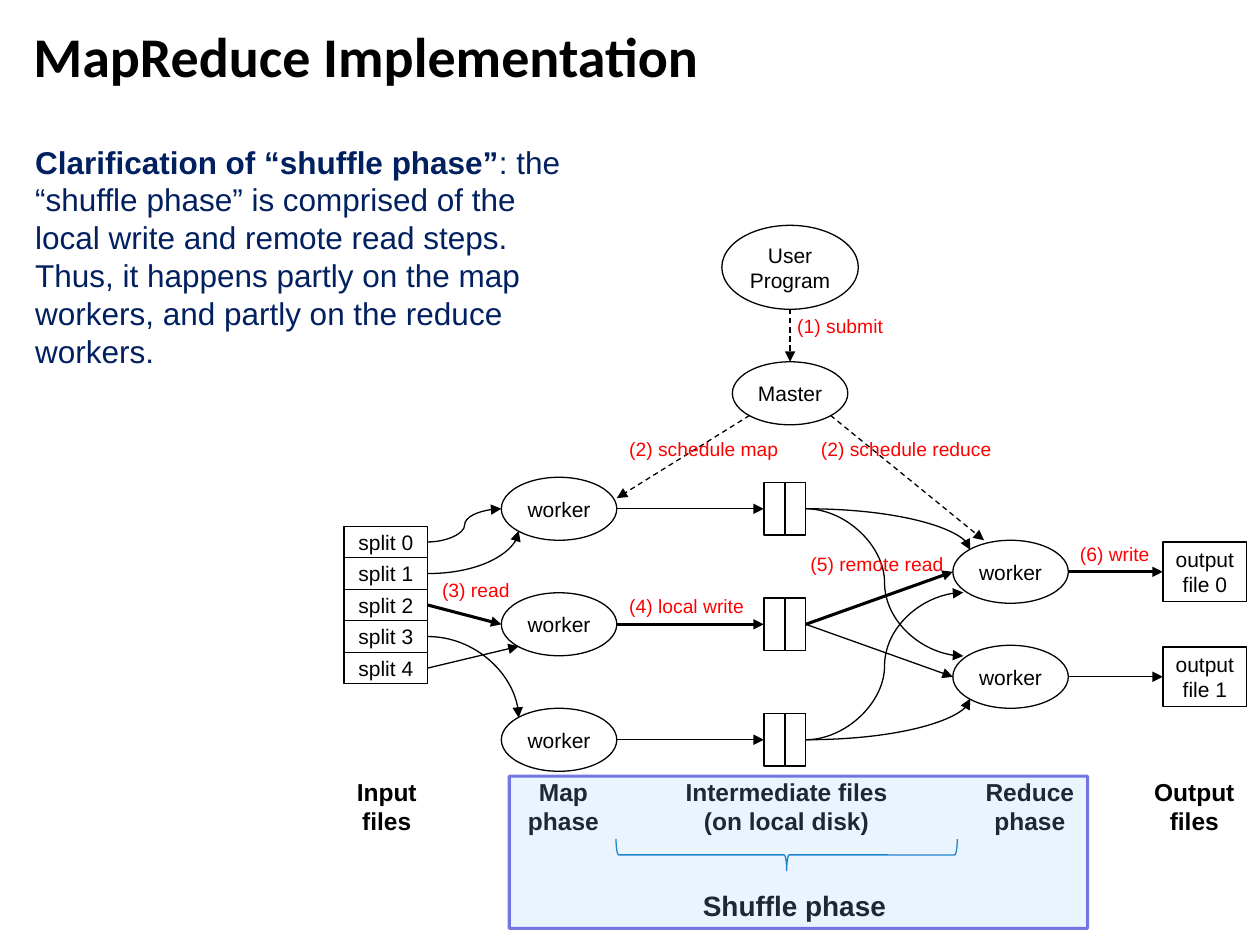
from dataclasses import dataclass

from lxml import etree
from pptx import Presentation
from pptx.dml.color import RGBColor
from pptx.enum import dml, shapes, text
from pptx.oxml import ns
from pptx.util import Pt


@dataclass(frozen=True)
class Theme:
    ink: str = "000000"
    step: str = "FF0000"
    note: str = "002060"
    brace: str = "0070C0"
    band_fill: str = "99CCFF"
    band_line: str = "0000CC"
    head_font: str = "Calibri"
    body_font: str = "Arial"
    title_size: float = 32
    note_size: float = 18
    shuffle_size: float = 16
    phase_size: float = 14
    node_size: float = 12
    step_size: float = 11
    thin: float = 0.75
    thick: float = 1.75


THEME = Theme()
RECT = shapes.MSO_SHAPE.RECTANGLE
OVAL = shapes.MSO_SHAPE.OVAL
CENTER = text.PP_ALIGN.CENTER

# Places on a shape, as fractions of its width and height
TOP, LEFT, BOTTOM, RIGHT = (0.5, 0), (0, 0.5), (0.5, 1), (1, 0.5)
SIDES = [TOP, LEFT, BOTTOM, RIGHT]
UPPER_LEFT, LOWER_LEFT, LOWER_RIGHT = (0.15, 0.15), (0.15, 0.85), (0.85, 0.85)


def add_span(para, words, size, color=THEME.ink, bold=False, font=THEME.body_font):
    span = para.add_run()
    span.text = words
    span.font.name, span.font.size, span.font.bold = font, Pt(size), bold
    span.font.color.rgb = RGBColor.from_string(color)


def add_lines(frame, lines, size, **style):
    """One centred paragraph for each line."""
    for index, line in enumerate(lines):
        para = frame.add_paragraph() if index else frame.paragraphs[0]
        para.alignment = CENTER
        add_span(para, line, size, **style)


def add_label(page, left, top, width, height, wrap=False):
    box = page.shapes.add_textbox(Pt(left), Pt(top), Pt(width), Pt(height))
    box.text_frame.word_wrap = wrap
    box.text_frame.auto_size = text.MSO_AUTO_SIZE.SHAPE_TO_FIT_TEXT
    return box.text_frame


def add_outline(page, kind, left, top, width, height, color=THEME.ink, weight=THEME.thin):
    shape = page.shapes.add_shape(kind, Pt(left), Pt(top), Pt(width), Pt(height))
    shape.shadow.inherit = False
    shape.fill.background()
    shape.line.color.rgb = RGBColor.from_string(color)
    shape.line.width = Pt(weight)
    return shape


def add_node(page, kind, left, top, width, height, lines=()):
    node = add_outline(page, kind, left, top, width, height)
    frame = node.text_frame
    frame.margin_left = frame.margin_right = frame.margin_top = frame.margin_bottom = 0
    frame.word_wrap = False
    frame.vertical_anchor = text.MSO_ANCHOR.MIDDLE
    add_lines(frame, lines, THEME.node_size)
    return node


def add_link(page, start, start_at, end, end_at, weight=THEME.thin, dashed=False, curve=None):
    """Arrow between places on two shapes; curve names a curved preset."""
    ends = [(int(node.left + node.width * fx), int(node.top + node.height * fy))
            for node, (fx, fy) in ((start, start_at), (end, end_at))]
    kind = shapes.MSO_CONNECTOR.CURVE if curve else shapes.MSO_CONNECTOR.STRAIGHT
    link = page.shapes.add_connector(kind, *ends[0], *ends[1])
    link.line.width = Pt(weight)
    link.line.color.rgb = RGBColor.from_string(THEME.ink)
    if dashed:
        link.line.dash_style = dml.MSO_LINE.DASH
    props = link._element.spPr
    if curve:
        props.find(ns.qn("a:prstGeom")).set("prst", curve)
    else:
        for node, place, join in ((start, start_at, link.begin_connect),
                                  (end, end_at, link.end_connect)):
            if node.auto_shape_type == RECT and place in SIDES:
                join(node, SIDES.index(place))
    etree.SubElement(link.line._get_or_add_ln(), ns.qn("a:tailEnd"), type="triangle")
    etree.SubElement(props, ns.qn("a:effectLst"))


def set_alpha(color_format, percent):
    color = color_format._xFill.find(ns.qn("a:srgbClr"))
    etree.SubElement(color, ns.qn("a:alpha"), val=str(percent * 1000))


def draw_title(page, left, top, width, height):
    frame = add_label(page, left, top, width, height, wrap=True)
    frame.auto_size = text.MSO_AUTO_SIZE.NONE
    add_span(frame.paragraphs[0], "MapReduce Implementation", THEME.title_size,
             bold=True, font=THEME.head_font)


def draw_note(page, left, top, width, height):
    para = add_label(page, left, top, width, height, wrap=True).paragraphs[0]
    add_span(para, "Clarification of “shuffle phase”", THEME.note_size, THEME.note, True)
    add_span(para, ": the “shuffle phase” is comprised of the local write and remote read "
             "steps. Thus, it happens partly on the map workers, and partly on the reduce "
             "workers.", THEME.note_size, THEME.note)


def draw_data_flow(page, left, top):
    # Nodes, column by column
    splits = [add_node(page, RECT, left, top + 172 + 18 * i, 48, 18, [f"split {i}"])
              for i in range(5)]
    mappers = [add_node(page, OVAL, left + 90, top + 144 + 66 * i, 66, 36, ["worker"])
               for i in range(3)]
    reducers = [add_node(page, OVAL, left + 348, top + 180 + 60 * i, 66, 36, ["worker"])
                for i in range(2)]
    master = add_node(page, OVAL, left + 222, top + 78, 66, 36, ["Master"])
    user = add_node(page, OVAL, left + 216, top, 78, 48)
    para = user.text_frame.paragraphs[0]
    para.alignment = CENTER
    add_span(para, "User", THEME.node_size)
    para.add_line_break()
    add_span(para, "Program", THEME.node_size)
    outputs = [add_node(page, RECT, left + 468, top + 181 + 60 * i, 48, 34,
                        ["output", f"file {i}"]) for i in range(2)]
    files = [[add_node(page, RECT, left + x, top + 147 + 66 * i, 12, 30) for x in (240, 252)]
             for i in range(3)]
    stores, sources = zip(*files)

    # Read
    bend, swing = "curvedConnector2", "curvedConnector3"
    add_link(page, splits[0], RIGHT, mappers[0], LEFT, curve=swing)
    add_link(page, splits[1], RIGHT, mappers[0], LOWER_LEFT, curve=bend)
    add_link(page, splits[3], RIGHT, mappers[2], UPPER_LEFT, curve=bend)
    add_link(page, splits[2], RIGHT, mappers[1], LEFT, THEME.thick)
    add_link(page, splits[4], RIGHT, mappers[1], LOWER_LEFT)

    # Local write and final write, with one highlighted route
    for i, (mapper, store) in enumerate(zip(mappers, stores)):
        add_link(page, mapper, RIGHT, store, LEFT, THEME.thick if i == 1 else THEME.thin)
    for reducer, output, weight in zip(reducers, outputs, (THEME.thick, THEME.thin)):
        add_link(page, reducer, RIGHT, output, LEFT, weight)
        add_link(page, sources[1], RIGHT, reducer, LEFT, weight)

    # Remote read
    add_link(page, sources[0], RIGHT, reducers[0], UPPER_LEFT, curve=bend)
    add_link(page, sources[0], RIGHT, reducers[1], (0.09, 0.17), curve=swing)
    add_link(page, sources[2], RIGHT, reducers[0], (0.09, 0.83), curve=swing)
    add_link(page, sources[2], RIGHT, reducers[1], LOWER_LEFT, curve=bend)

    # Control
    add_link(page, user, BOTTOM, master, TOP, dashed=True)
    add_link(page, master, LOWER_LEFT, mappers[0], (1, 0.33), dashed=True)
    add_link(page, master, LOWER_RIGHT, reducers[0], (0.27, 0), dashed=True)

    # Step labels
    for words, x, y, width in (
            ("(1) submit", 252, 47.5, 64), ("(2) schedule map", 156, 117.5, 100),
            ("(2) schedule reduce", 265.5, 117.5, 112.5), ("(3) read", 49, 198, 53.5),
            ("(4) local write", 156, 207.5, 80.5), ("(5) remote read", 259.5, 183.5, 90.5),
            ("(6) write", 413.5, 177.5, 54.5)):
        frame = add_label(page, left + x, top + y, width, 20.5)
        add_span(frame.paragraphs[0], words, THEME.step_size, THEME.step)


def draw_phases(page, left, top):
    # Column headings, each centred on its column
    for lines, middle, width in (
            (("Input", "files"), 24.5, 49), (("Map", "phase"), 125.5, 55.5),
            (("Intermediate files", "(on local disk)"), 253, 130.5),
            (("Reduce", "phase"), 392, 65.5), (("Output", "files"), 486, 60.5)):
        frame = add_label(page, left + middle - width / 2, top, width, 41)
        add_lines(frame, lines, THEME.phase_size, bold=True)

    # Brace and its caption
    brace = add_outline(page, shapes.MSO_SHAPE.RIGHT_BRACE, left + 244, top - 49.5, 18, 195,
                        THEME.brace)
    brace.rotation = 90
    frame = add_label(page, left + 197.5, top + 63.5, 120, 26.5)
    add_lines(frame, ["Shuffle phase"], THEME.shuffle_size, bold=True)

    # Translucent band over the shuffle columns
    band = add_outline(page, RECT, left + 94.5, top + 3, 330.5, 87, THEME.band_line, THEME.thick)
    band.fill.solid()
    band.fill.fore_color.rgb = RGBColor.from_string(THEME.band_fill)
    set_alpha(band.fill.fore_color, 20)
    set_alpha(band.line.color, 52)


def main():
    deck = Presentation()
    deck.slide_width, deck.slide_height = Pt(720), Pt(540)
    page = deck.slides.add_slide(deck.slide_layouts[6])
    draw_data_flow(page, 196.5, 128.75)
    draw_title(page, 12, 8.5, 684, 80.5)
    draw_phases(page, 196.5, 440.5)
    draw_note(page, 13, 78, 318, 138)
    deck.save("out.pptx")


if __name__ == "__main__":
    main()
